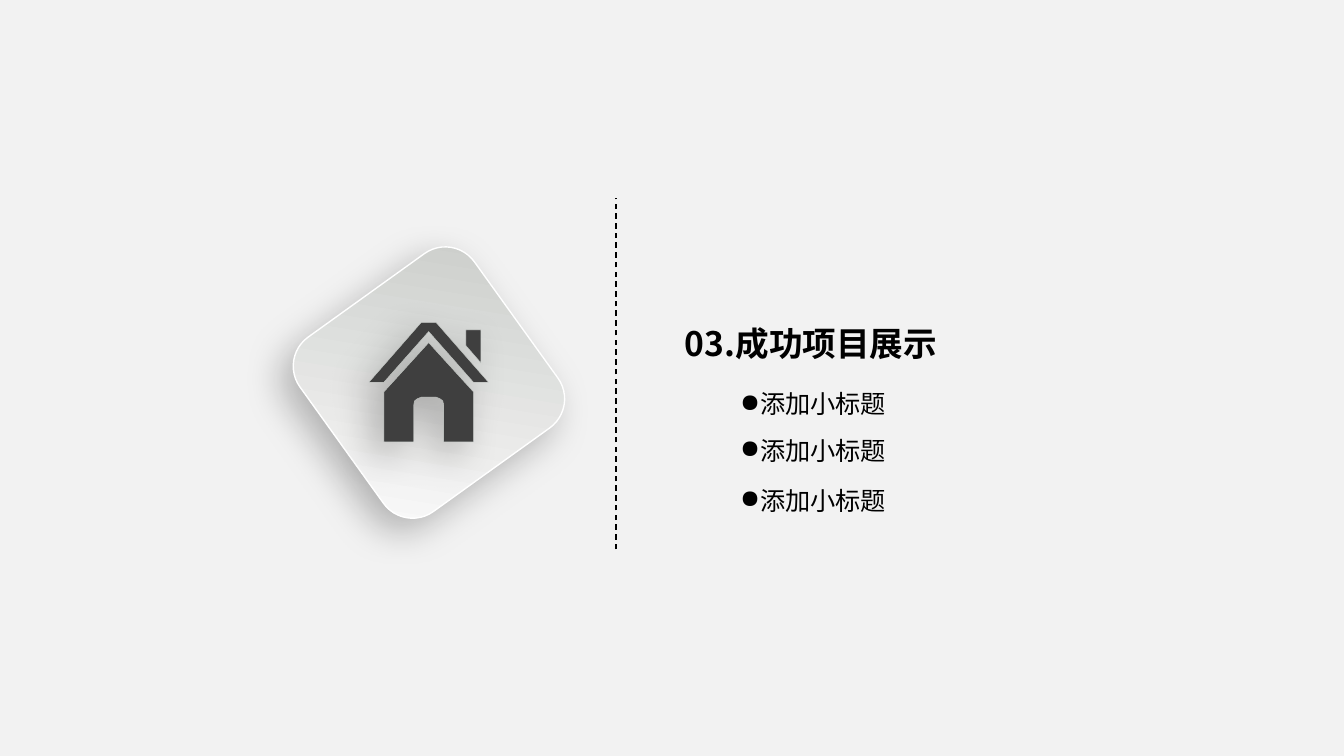
from dataclasses import dataclass
from lxml import etree
from pptx import Presentation
from pptx.dml.color import RGBColor
from pptx.enum.dml import MSO_LINE
from pptx.enum.shapes import MSO_CONNECTOR, MSO_SHAPE
from pptx.enum.text import MSO_AUTO_SIZE, PP_ALIGN
from pptx.oxml.ns import qn
from pptx.util import Inches, Pt

ROUND = MSO_SHAPE.ROUNDED_RECTANGLE
STRAIGHT = MSO_CONNECTOR.STRAIGHT
DASH = MSO_LINE.DASH
GROW = MSO_AUTO_SIZE.SHAPE_TO_FIT_TEXT
CENTER = PP_ALIGN.CENTER
LEFT = PP_ALIGN.LEFT
CELL = Inches(0.1)
INDENT = Inches(0.19)
HOUSE = 0.74
FINE = 10


@dataclass(frozen=True)
class Theme:
    font: str = "Noto Sans CJK SC"
    back: str = "F2F2F2"
    ink: str = "000000"
    icon: str = "3F3F3F"
    edge: str = "FFFFFF"
    rim: str = "CFD4D0"
    shade: tuple = ("C9CBC8", "FCFCFC")
    title: int = 24
    item: int = 18


THEME = Theme()
BODY = [(8, 2.7), (14, 9.3), (14, 16), (10, 16), (10, 11), (9.9, 10.5),
        (9.5, 10.2), (9, 10), (7, 10), (6.5, 10.2), (6.1, 10.5),
        (6, 11), (6, 16), (2, 16), (2, 9.3)]
STACK = [(13, 1), (15, 1), (15, 5.4), (13, 3.1)]
ROOF = [(7, 0), (9, 0), (16, 8), (14, 8), (8, 1.2), (2, 8), (0, 8)]


def grid(*cells):
    return [round(cell * CELL) for cell in cells]


def color(code):
    return RGBColor.from_string(code)


def apply(target, values):
    for name, value in values.items():
        setattr(target, name, value)


def child(parent, tag, **values):
    return etree.SubElement(parent, qn(tag), {k: str(v) for k, v in values.items()})


def shadow(shape):
    shape.shadow.inherit = False
    effects = shape._element.spPr.find(qn("a:effectLst"))
    outer = child(effects, "a:outerShdw", blurRad=Pt(27), dist=Pt(12),
                  dir=135 * 60000, algn="tr", rotWithShape=0)
    tint = child(outer, "a:srgbClr", val=THEME.ink)
    child(tint, "a:alpha", val=26000)


def outline(shape, code, width):
    shape.line.color.rgb = color(code)
    shape.line.width = Pt(width)


def tile(shapes, box):
    shape = shapes.add_shape(ROUND, *grid(*box))
    shape.rotation = 324.3
    shape.fill.gradient()
    shape.fill.gradient_angle = 225
    for stop, place, code in zip(shape.fill.gradient_stops, (0, 1), THEME.shade):
        stop.position = place
        stop.color.rgb = color(code)
    outline(shape, THEME.edge, 1)
    shadow(shape)


def house(shapes, left, top):
    parts = [[(x * FINE, y * FINE) for x, y in part] for part in (BODY, STACK, ROOF)]
    pen = shapes.build_freeform(*parts[0][0], scale=CELL * HOUSE / FINE)
    for part in parts:
        pen.move_to(*part[0])
        pen.add_line_segments(part[1:], close=True)
    shape = pen.convert_to_shape(*grid(left, top))
    shape.fill.solid()
    shape.fill.fore_color.rgb = color(THEME.icon)
    outline(shape, THEME.rim, 0.25)
    shadow(shape)


def divide(shapes, col, top, end):
    line = shapes.add_connector(STRAIGHT, *grid(col, end, col, top))
    outline(line, THEME.ink, 1)
    line.line.dash_style = DASH
    child(line._element.spPr, "a:effectLst")


def label(shapes, text, box, size, bold=False, align=LEFT, inset=None, bullet=None):
    frame = shapes.add_textbox(*grid(*box)).text_frame
    apply(frame, {"word_wrap": True, "auto_size": GROW})
    if inset is not None:
        sides = ("left", "top", "right", "bottom")
        apply(frame, {f"margin_{side}": inset for side in sides})
    para = frame.paragraphs[0]
    apply(para, {"alignment": align, "line_spacing": 0.9})
    if bullet:
        para.level = 1
        props = para._p.get_or_add_pPr()
        props.set("marL", str(INDENT))
        props.set("indent", str(-INDENT))
        child(props, "a:buChar", char=bullet)
    run = para.add_run()
    run.text = text
    apply(run.font, {"name": THEME.font, "size": Pt(size), "bold": bold})
    run.font.color.rgb = color(THEME.ink)
    child(run._r.get_or_add_rPr(), "a:ea", typeface=THEME.font)


def main():
    deck = Presentation()
    apply(deck, {"slide_width": Inches(13.33), "slide_height": Inches(7.5)})
    slide = deck.slides.add_slide(deck.slide_layouts[6])
    slide.background.fill.solid()
    slide.background.fill.fore_color.rgb = color(THEME.back)
    shapes = slide.shapes
    badge = shapes.add_group_shape().shapes
    tile(badge, (31.9, 27.3, 21.3, 21.3))
    house(badge, 36.6, 32)
    label(shapes, "03.成功项目展示", (53.3, 32, 54.3, 9.1), THEME.title,
          bold=True, align=CENTER)
    divide(shapes, 61.1, 19.6, 54.5)
    for row in (38.9, 43.5, 48.5):
        label(shapes, "添加小标题", (73.4, row, 22, 3), THEME.item,
              inset=0, bullet="●")
    deck.save("out.pptx")


if __name__ == "__main__":
    main()
